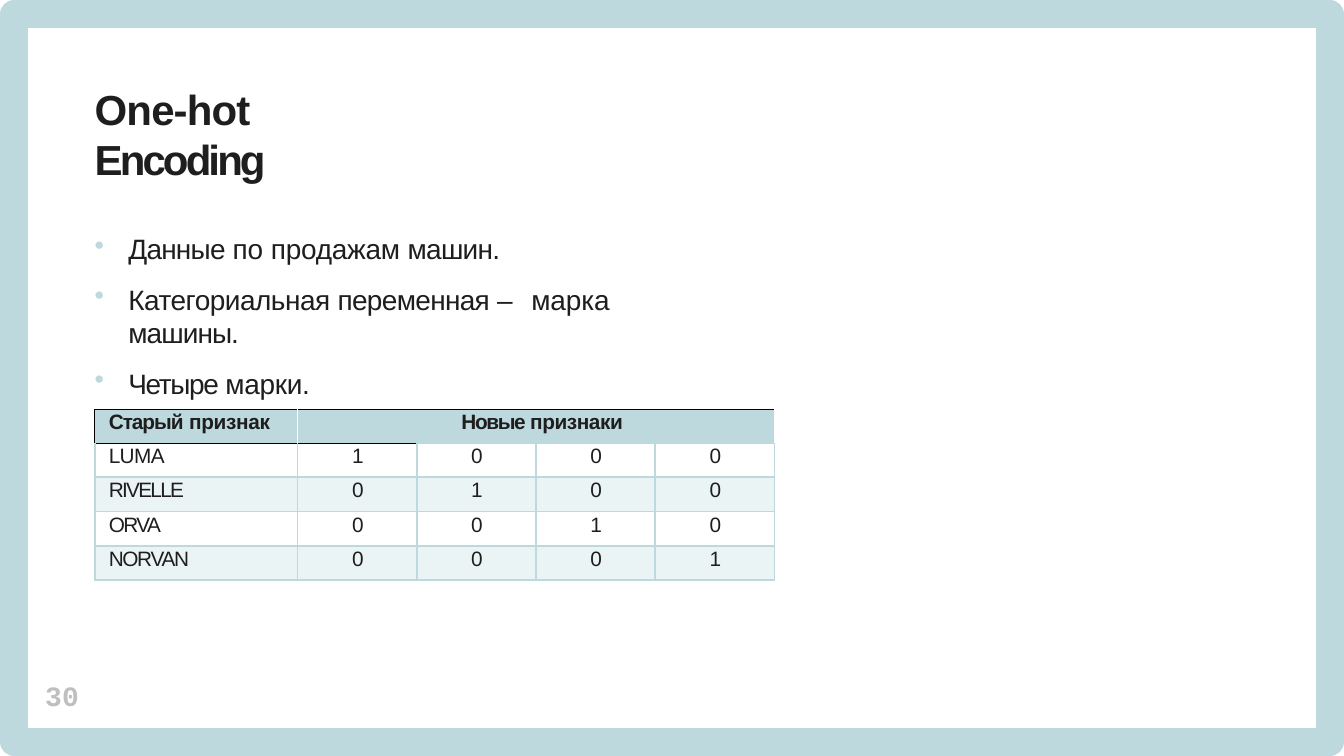
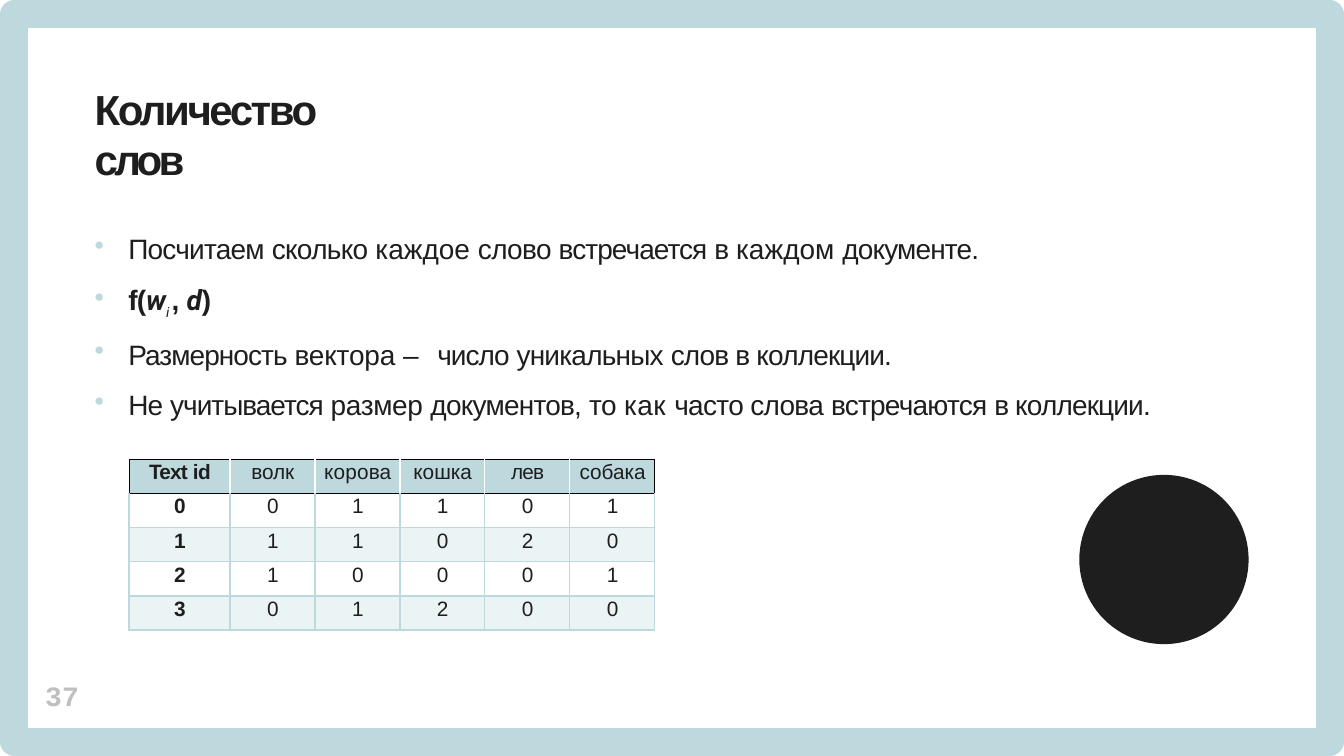
from dataclasses import dataclass

from pptx import Presentation
from pptx.dml.color import RGBColor as RGB
from pptx.enum.shapes import MSO_SHAPE as Shape
from pptx.enum.text import PP_ALIGN as Align
from pptx.oxml import parse_xml
from pptx.oxml.ns import nsdecls, qn
from pptx.util import Inches, Pt


@dataclass(frozen=True)
class Theme:
    ink: str = "1E1E1E"
    sky: str = "BDD9DE"
    pale: str = "EBF4F5"
    white: str = "FFFFFF"
    gray: str = "BFBFBF"
    black: str = "000000"
    sans: str = "Arial"
    mono: str = "Courier New"
    math: str = "Roboto"
    head: float = 49.5
    body: float = 33
    sub: float = 28.5
    cell: float = 24.5
    gap: float = 19.8
    frame: float = 33
    rule: float = 2.21
    thin: float = 0.96


T = Theme()
BASE = dict(name=T.sans, size=T.body, color=T.ink, bold=False, italic=False)
HEAD = dict(size=T.head, bold=True)
CELL = dict(size=T.cell)
PAGE = dict(name=T.mono, color=T.gray, bold=True)
BOLD = dict(bold=True)
VAR = dict(name=T.math, bold=True, italic=True)
SUB = dict(VAR, size=T.sub, base=-32)


# Text
def add_run(para, text, track=0, fmt=None):
    look = {**BASE, **(fmt or {})}
    run = para.add_run()
    run.text = text
    font = run.font
    font.color.rgb = RGB.from_string(look.pop("color"))
    props = run._r.get_or_add_rPr()
    props.set("spc", str(round(track * 100)))
    if "base" in look:
        props.set("baseline", str(look.pop("base") * 1000))
    look["size"] = Pt(look["size"])
    for key, val in look.items():
        setattr(font, key, val)


def fill_para(para, runs, fmt=None):
    for text, track, *own in runs:
        add_run(para, text, track, {**(fmt or {}), **(own[0] if own else {})})


def indent(para, left, first=0):
    props = para._p.get_or_add_pPr()
    props.set("marL", str(Inches(left)))
    props.set("indent", str(Inches(first)))
    return props


def add_box(slide, left, top, width, height, inset=0):
    box = slide.shapes.add_textbox(*map(Inches, (left, top, width, height)))
    frame = box.text_frame
    fmt = dict(word_wrap=True, margin_left=0, margin_right=0,
               margin_top=Inches(inset), margin_bottom=0)
    for key, val in fmt.items():
        setattr(frame, key, val)
    return frame


def add_list(slide, width, height, items):
    frame = add_box(slide, 1.54, 3.5, width, height, 0.29)
    for num, runs in enumerate(items):
        para = frame.add_paragraph() if num else frame.paragraphs[0]
        if num:
            para.space_before = Pt(T.gap)
        props = indent(para, 0.56, -0.55)
        for xml in (f'<a:buClr {nsdecls("a")}><a:srgbClr val="{T.sky}"/></a:buClr>',
                    f'<a:buChar {nsdecls("a")} char="•"/>'):
            props.append(parse_xml(xml))
        fill_para(para, runs)


# Shapes
def add_form(slide, kind, left, top, width, height):
    form = slide.shapes.add_shape(kind, *map(Inches, (left, top, width, height)))
    form.shadow.inherit = False
    return form


def add_dot(slide):
    dot = add_form(slide, Shape.OVAL, 17.66, 7.77, 2.77, 2.77)
    dot.fill.solid()
    dot.fill.fore_color.rgb = RGB.from_string(T.ink)
    dot.line.fill.background()


# Shared frame, title and page number
def add_page(deck, title, page):
    slide = deck.slides.add_slide(deck.slide_layouts[6])
    edge = add_form(slide, Shape.RECTANGLE, 0.23, 0.23, 21.53, 11.91)
    edge.fill.background()
    edge.line.width = Pt(T.frame)
    edge.line.color.rgb = RGB.from_string(T.sky)
    para = add_box(slide, 1.54, 1.35, 5, 2.08, 0.01).paragraphs[0]
    indent(para, 0.01)
    fill_para(para, title, HEAD)
    para = add_box(slide, 0.71, 11.14, 0.61, 0.6).paragraphs[0]
    indent(para, 0.03)
    para.line_spacing = Pt(37.3)
    add_run(para, page, 0, PAGE)
    return slide


# Tables
def set_edges(cell, edges):
    props = cell._tc.get_or_add_tcPr()
    at = 0
    for side in "LRTB":
        if side in edges:
            color, width = edges[side]
            props.insert(at, parse_xml(
                f'<a:ln{side} {nsdecls("a")} w="{Pt(width)}"><a:solidFill>'
                f'<a:srgbClr val="{color}"/></a:solidFill></a:ln{side}>'))
            at += 1


def pick_edges(cell, row, col, last, soft):
    dark, light = (T.black, T.thin), (T.sky, T.rule)
    white = (T.white, T.rule)
    if row:
        top = light if row > 1 else (T.sky, T.thin) if col >= soft else dark
        return dict(L=light, R=light, T=top, B=light)
    edges = dict(T=dark)
    if not cell.is_spanned:
        edges["L"] = white if col else dark
    if col == last:
        edges["R"] = dark
    elif not (cell.is_spanned or cell.is_merge_origin):
        edges["R"] = white
    return edges


def add_grid(slide, left, top, cols, rows, span=None, soft=99):
    high = 0.56
    form = slide.shapes.add_table(len(rows), len(cols), *map(
        Inches, (left, top, sum(cols), high * len(rows))))
    table = form.table
    for flag in ("first_row", "horz_banding"):
        setattr(table, flag, False)
    for col, width in zip(table.columns, cols):
        col.width = Inches(width)
    for row in table.rows:
        row.height = Inches(high)
    if span:
        table.cell(0, span).merge(table.cell(0, len(cols) - 1))
    for r, line in enumerate(rows):
        for c in range(len(cols)):
            cell = table.cell(r, c)
            cell.margin_top, cell.margin_bottom = Inches(0.03), 0
            cell.fill.solid()
            shade = T.pale if r % 2 == 0 else T.white
            cell.fill.fore_color.rgb = RGB.from_string(shade if r else T.sky)
            set_edges(cell, pick_edges(cell, r, c, len(cols) - 1, soft))
            if c < len(line):
                left_in, runs = line[c]
                para = cell.text_frame.paragraphs[0]
                indent(para, left_in or 0.02)
                para.alignment = Align.LEFT if left_in else Align.CENTER
                fill_para(para, runs, CELL)


def mid(text, track=0, fmt=None):
    return 0, [(text, track, fmt or {})]


# Slides
def one_hot(deck):
    slide = add_page(deck, [("One-hot ", -1), ("Encoding", -3.4)], "30")
    add_list(slide, 10, 3.04, [
        [("Данные ", -0.9), ("по ", -0.2), ("продажам ", -0.3), ("машин.", -0.9)],
        [("Категориальная ", -0.6), ("переменная ", -0.8), ("– ", 6.4),
         ("марка ", -0.1), ("машины.", -1.1)],
        [("Четыре ", -1.6), ("марки.", -0.4)],
    ])
    rows = [[(0.13, [("Старый", -1.2, BOLD), (" признак", -0.4, BOLD)]),
             (2.58, [("Новые ", -1.6, BOLD), ("признаки", -0.5, BOLD)])]]
    makes = [("LUMA", -0.7), ("RIVELLE", -2), ("ORVA", -1.8), ("NORVAN", -1.6)]
    for num, make in enumerate(makes):
        rows.append([(0.13, [make])] + [
            mid(str(int(num == col))) for col in range(len(makes))])
    add_grid(slide, 1.55, 6.69, [3.32] + [1.95] * 4, rows, span=1, soft=2)


def counts(deck):
    slide = add_page(deck, [("Количество ", -2.9), ("слов", -4.4)], "37")
    add_dot(slide)
    add_list(slide, 17.46, 3.39, [
        [("Посчитаем ", -0.9), ("сколько ", -0.8), ("каждое ", 0),
         ("слово ", -0.8), ("встречается ", -1.1), ("в ", -1),
         ("каждом ", 0), ("документе.", -1)],
        [("f(", -1, BOLD), ("w", -1, VAR), ("i ", -1.5, dict(SUB, bold=False)),
         (", ", -0.6, BOLD), ("d", -0.4, VAR), (")", -0.4, BOLD)],
        [("Размерность ", -1.1), ("вектора ", -0.2), ("– ", 6.4),
         ("число ", -1.2), ("уникальных ", -0.9), ("слов в коллекции.", -1)],
        [("Не ", -1), ("учитывается ", -1.2), ("размер ", -0.4),
         ("документов, ", -0.9), ("то ", -0.5), ("как ", 0.5),
         ("часто слова ", -0.8), ("встречаются ", -0.9), ("в коллекции.", -1)],
    ])
    words = [("волк", -0.1), ("корова", 0.2), ("кошка", 0), ("лев", -0.9),
             ("собака", 0)]
    rows = [[(0, [("Text ", -0.9, BOLD), ("id", -0.6, BOLD)])]
            + [mid(*word) for word in words]]
    for num, vals in enumerate(("01101", "11020", "10001", "01200")):
        rows.append([mid(str(num), 0, BOLD)] + [mid(val) for val in vals])
    add_grid(slide, 2.11, 7.51, [1.65] + [1.39] * 5, rows)


def main():
    deck = Presentation()
    deck.slide_width, deck.slide_height = Inches(21.99), Inches(12.37)
    one_hot(deck)
    counts(deck)
    deck.save("out.pptx")


if __name__ == "__main__":
    main()
